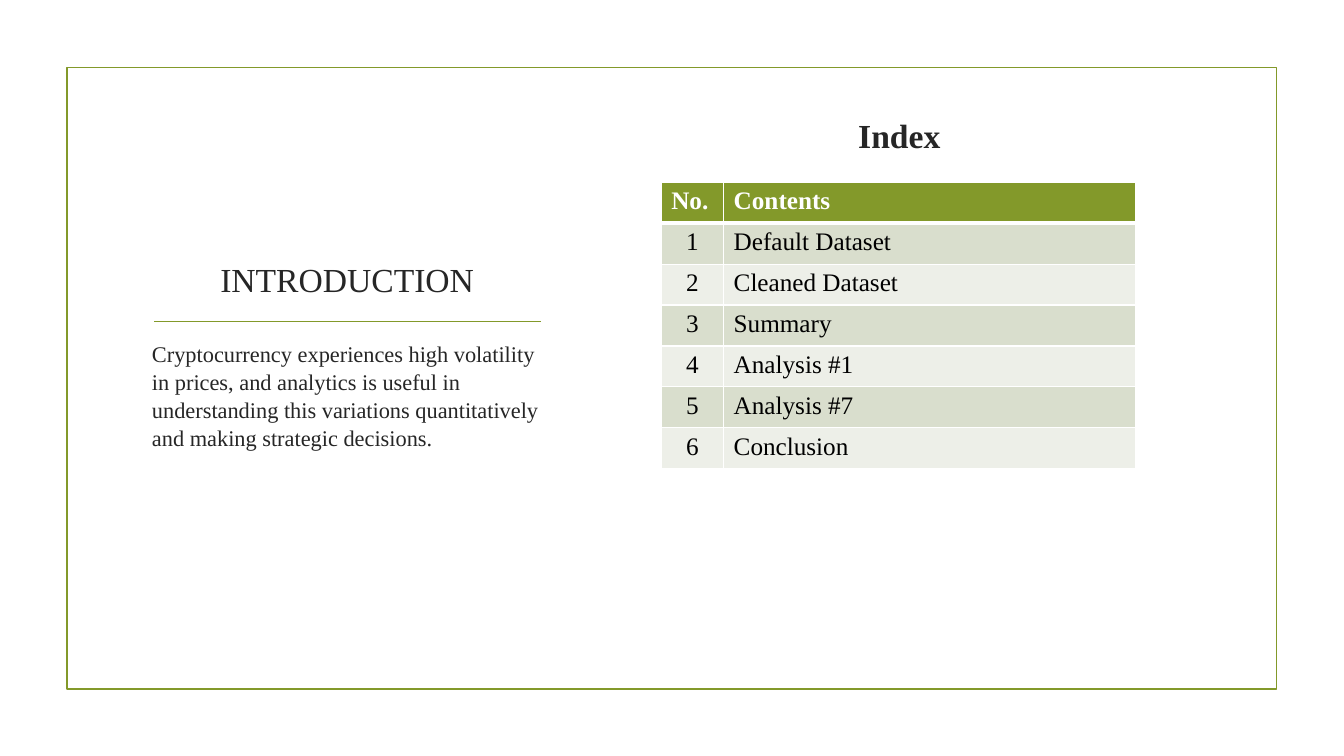
from dataclasses import dataclass

import lxml.etree
import pptx
import pptx.dml.color
import pptx.enum.shapes
import pptx.enum.text
import pptx.oxml.ns
import pptx.util

Pt = pptx.util.Pt
qn = pptx.oxml.ns.qn
ALIGN = pptx.enum.text.PP_ALIGN
ANCHOR = pptx.enum.text.MSO_ANCHOR

FONT = "Times New Roman"
GREEN, INK, WHITE, BLACK = "83992A", "262626", "FFFFFF", "000000"
BANDS = ("D9DECD", "EDEFE8")
ROW_HEIGHT = 29.2
CONTENTS = ("Default Dataset", "Cleaned Dataset", "Summary",
            "Analysis #1", "Analysis #7", "Conclusion")


@dataclass
class TextBlock:
    text: str
    left: float
    top: float
    width: float
    height: float
    size: float
    bold: bool = False
    align: int = ALIGN.CENTER
    anchor: int = ANCHOR.TOP
    before: float = 0
    spacing: float = 1.0


def color(value: str) -> pptx.dml.color.RGBColor:
    return pptx.dml.color.RGBColor.from_string(value)


def add_run(paragraph, text: str, size: float, ink: str, bold: bool) -> None:
    run = paragraph.add_run()
    run.text = text
    run.font.name = FONT
    run.font.size = Pt(size)
    run.font.bold = bold
    run.font.color.rgb = color(ink)


def add_text(slide, block: TextBlock) -> None:
    box = slide.shapes.add_textbox(Pt(block.left), Pt(block.top),
                                   Pt(block.width), Pt(block.height))
    frame = box.text_frame
    frame.word_wrap = True
    frame.vertical_anchor = block.anchor
    paragraph = frame.paragraphs[0]
    paragraph.alignment = block.align
    paragraph.space_before = Pt(block.before)
    paragraph.line_spacing = block.spacing
    add_run(paragraph, block.text, block.size, INK, block.bold)


def set_borders(cell, top: float, bottom: float) -> None:
    properties = cell._tc.get_or_add_tcPr()
    sides = (("lnL", 1), ("lnR", 1), ("lnT", top), ("lnB", bottom))
    for position, (side, width) in enumerate(sides):
        line = lxml.etree.Element(qn(f"a:{side}"), w=str(Pt(width)))
        fill = lxml.etree.SubElement(line, qn("a:solidFill"))
        lxml.etree.SubElement(fill, qn("a:srgbClr"), val=WHITE)
        properties.insert(position, line)


def add_index(slide) -> None:
    rows = [("No.", "Contents")]
    rows += [(str(number), title) for number, title in enumerate(CONTENTS, 1)]
    widths = (44.6, 294.5)
    index = slide.shapes.add_table(len(rows), len(widths), Pt(472.3), Pt(130.3),
                                   Pt(sum(widths)), Pt(ROW_HEIGHT * len(rows))).table
    index.horz_banding = False
    for column, width in zip(index.columns, widths):
        column.width = Pt(width)
    for r, entries in enumerate(rows):
        index.rows[r].height = Pt(ROW_HEIGHT)
        header = r == 0
        for c, entry in enumerate(entries):
            cell = index.cell(r, c)
            cell.fill.solid()
            cell.fill.fore_color.rgb = color(GREEN if header else BANDS[(r - 1) % 2])
            paragraph = cell.text_frame.paragraphs[0]
            paragraph.alignment = ALIGN.CENTER if c == 0 and not header else ALIGN.LEFT
            add_run(paragraph, entry, 18, WHITE if header else BLACK, header)
            set_borders(cell, top=3 if r == 1 else 1, bottom=3 if header else 1)


def main() -> None:
    deck = pptx.Presentation()
    deck.slide_width, deck.slide_height = Pt(960), Pt(540)
    slide = deck.slides.add_slide(deck.slide_layouts[6])

    # Frame around the slide
    border = slide.shapes.add_shape(pptx.enum.shapes.MSO_SHAPE.RECTANGLE,
                                    Pt(47.8), Pt(48.2), Pt(864), Pt(444))
    border.shadow.inherit = False
    border.fill.background()
    border.line.color.rgb = color(GREEN)
    border.line.width = Pt(1.25)

    # Rule under the heading
    rule = slide.shapes.add_connector(pptx.enum.shapes.MSO_CONNECTOR.STRAIGHT,
                                      Pt(110.2), Pt(229.6), Pt(386.6), Pt(229.6))
    rule.line.color.rgb = color(GREEN)
    rule.line.width = Pt(1.25)
    lxml.etree.SubElement(rule._element.spPr, qn("a:effectLst"))

    # Heading, index title and introduction
    blocks = (
        TextBlock("INTRODUCTION", 101.5, 109.4, 293, 108, 24, anchor=ANCHOR.BOTTOM),
        TextBlock("Index", 427, 77, 430.6, 385.2, 24, bold=True, before=2, spacing=1.05),
        TextBlock("Cryptocurrency experiences high volatility in prices, and analytics "
                  "is useful in understanding this variations quantitatively and making "
                  "strategic decisions.",
                  101.5, 238.3, 293, 192.2, 16, align=ALIGN.LEFT, before=1, spacing=1.05),
    )
    for block in blocks:
        add_text(slide, block)

    # Index table
    add_index(slide)

    deck.save("out.pptx")


if __name__ == "__main__":
    main()
